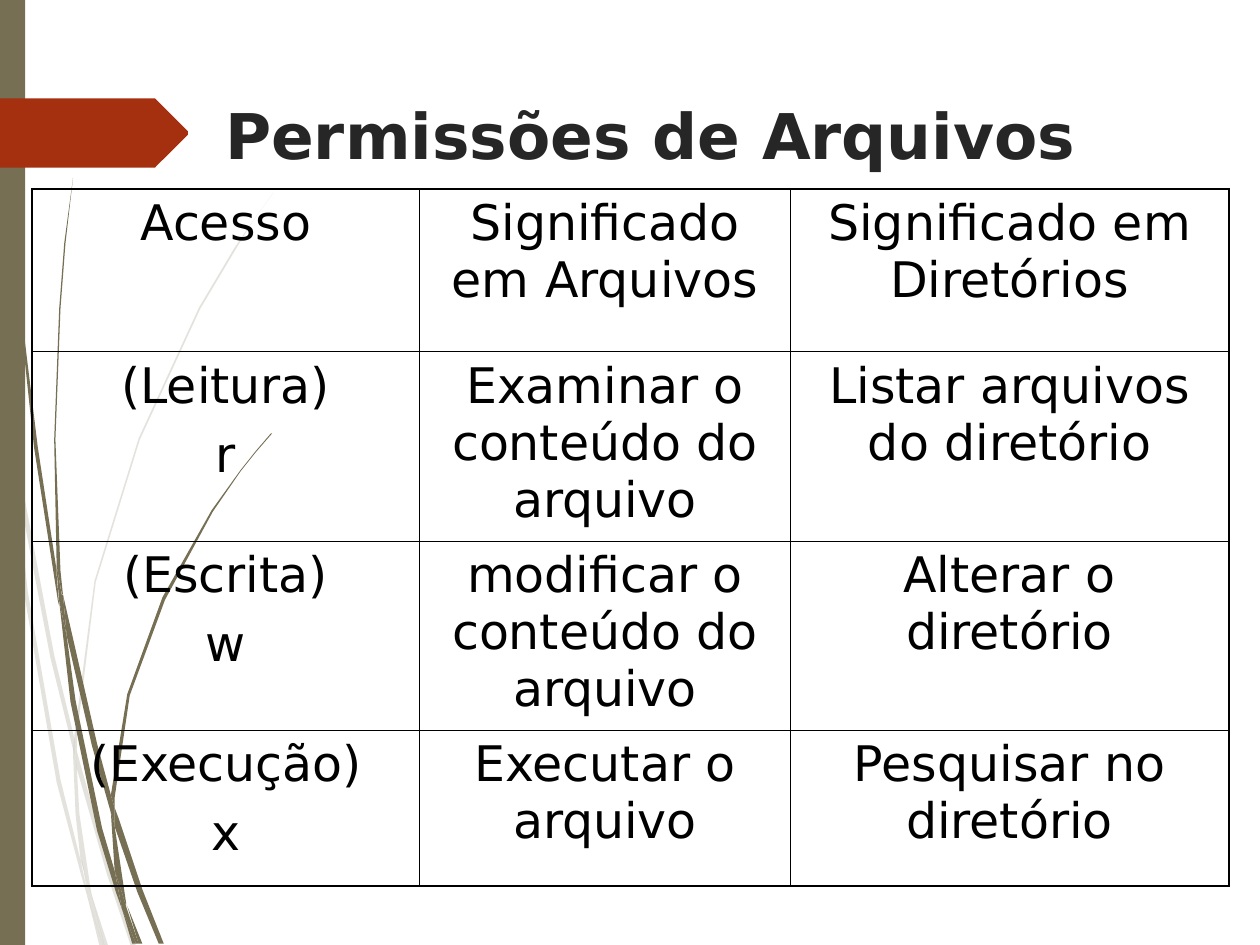
from lxml import etree
from pptx import Presentation
from pptx import util as u
from pptx.dml.color import RGBColor
from pptx.enum import shapes, text
from pptx.oxml.ns import qn

FONT = "DejaVu Sans"
OLIVE, RED, INK, BLACK = "766F54", "A53010", "262626", "000000"
THICK, THIN = 1.08, 0.45
HUNDREDTH_INCH = u.Cm(2.54) / 100

PALE_STALKS = [
    "8,350 6,322 0,282 0,299 7,344",
    "40,522 59,599 59,586 43,520 10,345 12,376",
    "64,607 61,596 61,610 85,694 104,751 108,751 88,692",
    "83,751 86,751 73,711",
    "64,683 48,619 22,469 12,376 8,350 19,470 45,621 64,693 70,714 69,707",
    "58,599 60,646 64,683 67,692 73,711 72,706 63,646 61,610 61,608",
    "61,584 76,462 111,349 159,245 187,198 201,175 217,153 201,175 186,197 "
    "158,244 110,348 75,461 59,584 59,586 61,596",
    "70,714 79,751 82,751",
    "61,608 61,610 61,596 59,586 58,599",
    "67,692 65,683 69,707 70,714 82,751 83,751 73,711",
]
DARK_STALKS = [
    "5,110 14,233 27,355 46,477 47,481 45,457 45,453 30,355 15,232 6,109 4,48 "
    "3,0 2,0 3,48",
    "73,592 88,645 88,633 88,631 77,590 50,472 53,505",
    "94,649 91,641 91,656 109,708 126,749 130,749 113,706",
    "91,691 81,657 60,556 53,505 47,477 56,557 77,659 92,708 97,722 96,717",
    "50,472 48,453 44,349 48,245 52,193 58,141 51,193 47,245 43,349 45,449 49,471",
    "110,749 113,749 101,719",
    "47,477 53,505 50,472 49,472 45,449 45,453",
    "91,633 103,552 131,476 169,406 191,374 203,359 216,344 215,344 203,358 "
    "191,373 168,405 129,474 101,551 88,631 91,641",
    "97,722 105,749 108,749",
    "88,645 91,691 96,706 100,719 100,716 91,656 90,651",
    "88,645 90,651 91,656 91,641 88,631 88,633",
    "96,706 91,691 96,717 97,722 108,749 110,749 100,719",
]
ARROW = "149,107 124,132 123,133 121,133 0,133 0,78 121,78 123,78 124,79 149,104"

COLUMNS = [7.82, 7.47, 8.84]
ROWS = [
    (3.28, ["Acesso", "Significado em Arquivos", "Significado em Diretórios"]),
    (3.81, ["(Leitura)\nr", "Examinar o conteúdo do arquivo",
            "Listar arquivos do diretório"]),
    (3.81, ["(Escrita)\nw", "modificar o conteúdo do arquivo",
            "Alterar o diretório"]),
    (3.15, ["(Execução)\nx", "Executar o arquivo", "Pesquisar no diretório"]),
]


def rgb(color):
    return RGBColor.from_string(color)


def paint(sp, color, alpha=None):
    sp.shadow.inherit = False
    sp.fill.solid()
    sp.fill.fore_color.rgb = rgb(color)
    sp.line.fill.background()
    if alpha:
        clr = sp.fill._xPr.find(qn("a:solidFill"))[0]
        etree.SubElement(clr, qn("a:alpha"), val=str(alpha * 1000))


def add_outline(s, outline, color, alpha=None):
    points = [tuple(map(int, pair.split(","))) for pair in outline.split()]
    builder = s.shapes.build_freeform(*points[0], scale=HUNDREDTH_INCH)
    builder.add_line_segments(points[1:], close=True)
    paint(builder.convert_to_shape(), color, alpha)


def write(tf, content, size, color, bold=False, align=text.PP_ALIGN.LEFT,
          before=0, later_indent=0):
    tf.word_wrap = True
    for i, line in enumerate(content.split("\n")):
        p = tf.add_paragraph() if i else tf.paragraphs[0]
        p.alignment = align
        if i:
            p.space_before = u.Pt(before)
            p._p.get_or_add_pPr().set("indent", str(u.Cm(later_indent)))
        r = p.add_run()
        r.text = line
        r.font.name, r.font.size, r.font.bold = FONT, u.Pt(size), bold
        r.font.color.rgb = rgb(color)


def add_title(s, content):
    sp = s.shapes.add_textbox(u.Cm(4.29), u.Cm(1.73), u.Cm(19.61), u.Cm(2.08))
    tf = sp.text_frame
    tf.vertical_anchor = text.MSO_ANCHOR.MIDDLE
    tf.margin_bottom = u.Cm(0.25)
    write(tf, content, 36, INK, bold=True)


def set_borders(cell, widths):
    tcPr = cell._tc.get_or_add_tcPr()
    for i, (side, width) in enumerate(zip("LRTB", widths)):
        ln = etree.Element(qn("a:ln" + side), w=str(u.Pt(width)))
        fill = etree.SubElement(ln, qn("a:solidFill"))
        etree.SubElement(fill, qn("a:srgbClr"), val=BLACK)
        tcPr.insert(i, ln)


def add_permissions_table(s):
    height = sum(h for h, _ in ROWS)
    frame = s.shapes.add_table(len(ROWS), len(COLUMNS), u.Cm(0.64), u.Cm(3.81),
                               u.Cm(sum(COLUMNS)), u.Cm(height))
    table = frame.table
    table.first_row = table.horz_banding = False
    for column, width in zip(table.columns, COLUMNS):
        column.width = u.Cm(width)
    for i, (row_height, contents) in enumerate(ROWS):
        table.rows[i].height = u.Cm(row_height)
        for j, content in enumerate(contents):
            cell = table.cell(i, j)
            cell.fill.background()
            edges = (j == 0, j == len(COLUMNS) - 1, i == 0, i == len(ROWS) - 1)
            set_borders(cell, [THICK if edge else THIN for edge in edges])
            write(cell.text_frame, content, 28, BLACK, before=7,
                  align=text.PP_ALIGN.CENTER, later_indent=-0.63)


def main():
    prs = Presentation()
    prs.slide_width, prs.slide_height = u.Cm(25.4), u.Cm(19.05)
    s = prs.slides.add_slide(prs.slide_layouts[6])
    for outline in PALE_STALKS:
        add_outline(s, outline, OLIVE, alpha=20)
    for outline in DARK_STALKS:
        add_outline(s, outline, OLIVE)
    bar = s.shapes.add_shape(shapes.MSO_SHAPE.RECTANGLE, 0, 0, u.Cm(0.51),
                             prs.slide_height)
    paint(bar, OLIVE)
    add_outline(s, ARROW, RED)
    add_title(s, "Permissões de Arquivos")
    add_permissions_table(s)
    prs.save("out.pptx")


if __name__ == "__main__":
    main()
